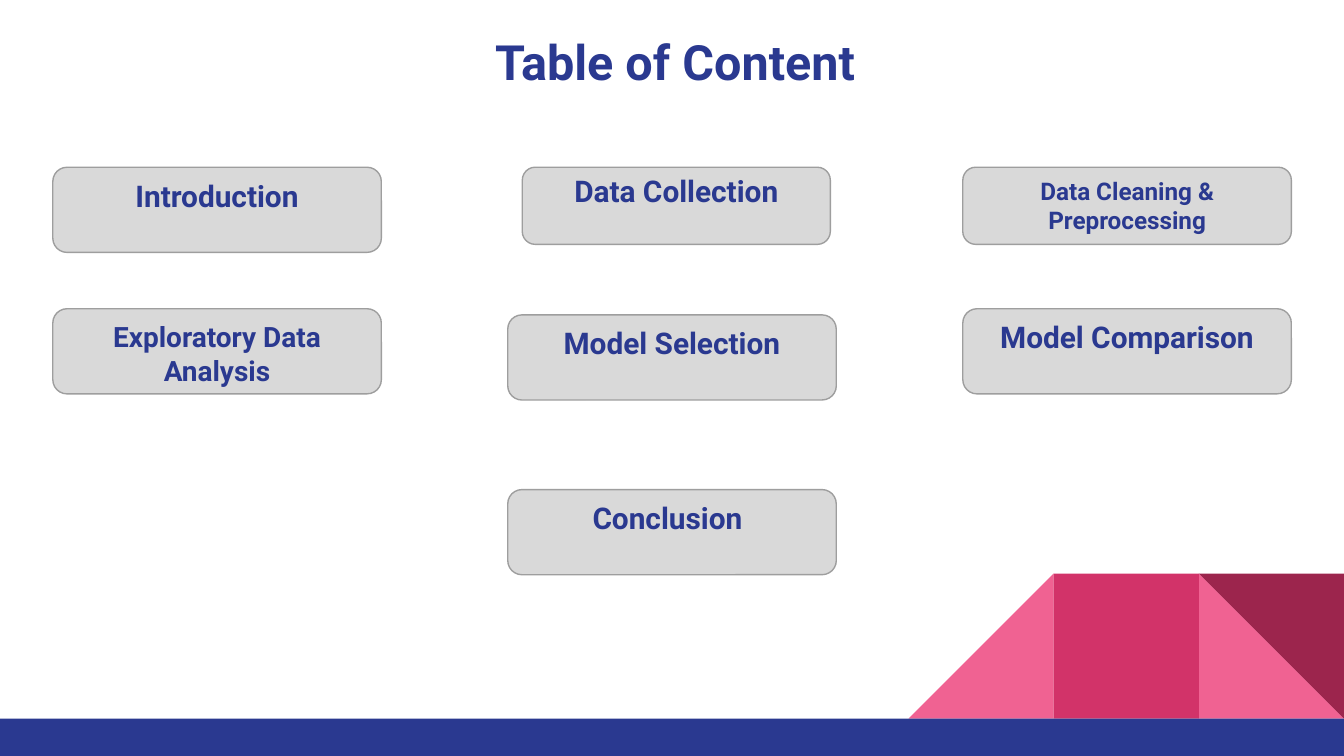
from dataclasses import dataclass

from pptx import Presentation
from pptx.dml.color import RGBColor
from pptx.enum.shapes import MSO_SHAPE as Preset
from pptx.enum.text import MSO_ANCHOR as Anchor, PP_ALIGN as Align
from pptx.util import Pt

COLORS = {
    "navy": "2A3990",
    "pink": "F06292",
    "rose": "D23369",
    "wine": "9C254D",
    "gray": "D9D9D9",
    "outline": "9E9E9E",
}
PAGE_WIDTH, PAGE_HEIGHT = 720, 405
BAR_TOP = 385
TILE = 77.75
LEFT, MIDDLE, RIGHT = 28.3, 272, 515.8
ROW_1, ROW_2, ROW_3 = 89.6, 165.4, 262.3


@dataclass
class Topic:
    text: str
    left: float
    top: float
    width: float = 176
    height: float = 45.6
    size: float = 16
    inset: float = 3.3
    align: Align = Align.CENTER
    indent: float = 0


@dataclass
class Tile:
    preset: Preset
    column: int
    color: str
    rotation: float = 0


TOPICS = [
    Topic("Introduction", LEFT, ROW_1),
    Topic("Data Collection", 279.8, ROW_1, width=165, height=41.3, inset=1),
    Topic("Data Cleaning & Preprocessing", RIGHT, ROW_1, height=41.3, size=13, inset=2.9),
    Topic("Exploratory Data Analysis", LEFT, ROW_2, size=15, inset=3.8),
    Topic("Model Selection", MIDDLE, 168.7),
    Topic("Model Comparison", RIGHT, ROW_2),
    Topic("Conclusion", MIDDLE, ROW_3, align=Align.LEFT, indent=36),
]

TILES = [
    Tile(Preset.RIGHT_TRIANGLE, 1, "pink"),
    Tile(Preset.RIGHT_TRIANGLE, 3, "pink", 270),
    Tile(Preset.RECTANGLE, 2, "rose"),
    Tile(Preset.RIGHT_TRIANGLE, 1, "wine", 180),
]


def rgb(name: str) -> RGBColor:
    return RGBColor.from_string(COLORS[name])


def write_text(box, text: str, *, size: float, align=Align.CENTER,
               top: float = 7.2, left: float = 7.2, bottom: float = 0) -> None:
    frame = box.text_frame
    frame.word_wrap = True
    frame.vertical_anchor = Anchor.TOP
    frame.margin_left, frame.margin_right = Pt(left), Pt(7.2)
    frame.margin_top, frame.margin_bottom = Pt(top), Pt(bottom)
    para = frame.paragraphs[0]
    para.alignment = align
    span = para.add_run()
    span.text = text
    span.font.name = "Roboto"
    span.font.size = Pt(size)
    span.font.bold = True
    span.font.color.rgb = rgb("navy")


def add_box(page, preset: Preset, left: float, top: float, width: float,
            height: float, fill: str, outline: str = ""):
    box = page.shapes.add_shape(preset, Pt(left), Pt(top), Pt(width), Pt(height))
    box.shadow.inherit = False
    box.fill.solid()
    box.fill.fore_color.rgb = rgb(fill)
    if outline:
        box.line.color.rgb = rgb(outline)
        box.line.width = Pt(0.75)
    else:
        box.line.fill.background()
    return box


def add_tile(page, tile: Tile) -> None:
    box = add_box(page, tile.preset, PAGE_WIDTH - tile.column * TILE,
                  BAR_TOP - TILE, TILE, TILE, tile.color)
    box.rotation = tile.rotation


def add_topic(page, topic: Topic) -> None:
    box = add_box(page, Preset.FLOWCHART_ALTERNATE_PROCESS, topic.left, topic.top,
                  topic.width, topic.height, "gray", "outline")
    write_text(box, topic.text, size=topic.size, align=topic.align,
               top=topic.inset, left=7.2 + topic.indent)


def main() -> None:
    deck = Presentation()
    deck.slide_width, deck.slide_height = Pt(PAGE_WIDTH), Pt(PAGE_HEIGHT)
    page = deck.slides.add_slide(deck.slide_layouts[5])

    for tile in TILES:
        add_tile(page, tile)
    add_box(page, Preset.RECTANGLE, 0, BAR_TOP, PAGE_WIDTH, PAGE_HEIGHT - BAR_TOP, "navy")

    title = page.shapes.title
    title.left, title.top, title.width, title.height = Pt(197.3), Pt(10), Pt(329), Pt(57.6)
    write_text(title, "Table of Content", size=26, bottom=7.2)

    for topic in TOPICS:
        add_topic(page, topic)

    deck.save("out.pptx")


if __name__ == "__main__":
    main()
